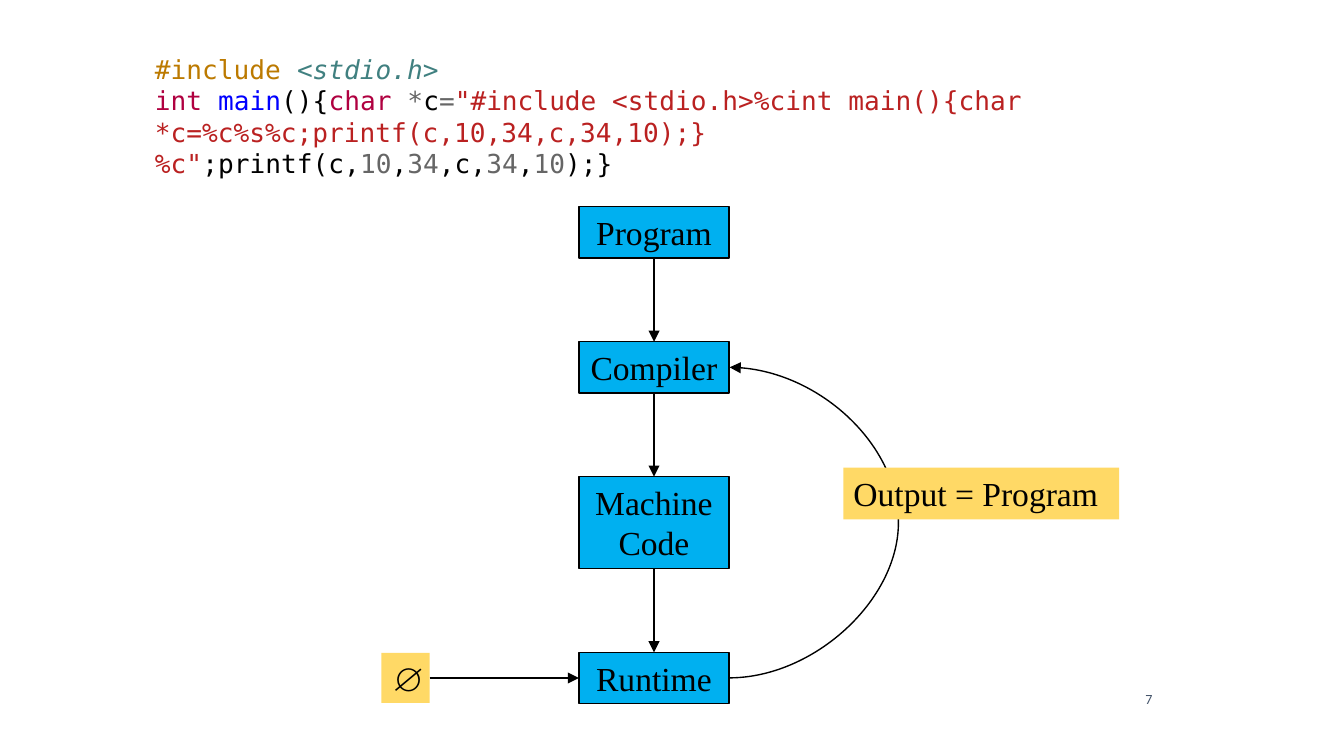
"""Build a slide showing a self-reproducing program and its compile cycle."""
from lxml.etree import SubElement
from pptx import Presentation
from pptx.dml.color import RGBColor
from pptx.enum.shapes import MSO_CONNECTOR as LINK, MSO_SHAPE
from pptx.enum.text import MSO_ANCHOR, PP_ALIGN as ALIGN
from pptx.oxml.ns import qn
from pptx.util import Cm, Pt

BLACK = RGBColor(0x00, 0x00, 0x00)
BLUE = RGBColor(0x00, 0xB0, 0xF0)
YELLOW = RGBColor(0xFF, 0xD9, 0x66)
SLATE = RGBColor(0x44, 0x54, 0x6A)
DIRECTIVE = RGBColor(0xBC, 0x7A, 0x00)
HEADER = RGBColor(0x40, 0x80, 0x80)
KEYWORD = RGBColor(0xB0, 0x00, 0x40)
FUNCTION = RGBColor(0x00, 0x00, 0xFF)
NUMBER = RGBColor(0x66, 0x66, 0x66)
STRING = RGBColor(0xBA, 0x21, 0x21)


def write(shape, text, font, size, color, align, anchor=MSO_ANCHOR.TOP):
    frame = shape.text_frame
    frame.word_wrap = True
    frame.vertical_anchor = anchor
    frame.margin_left = frame.margin_right = Cm(0.19)
    frame.margin_top = frame.margin_bottom = Cm(0.1)
    frame.text = text
    for paragraph in frame.paragraphs:
        paragraph.alignment = align
        paragraph.font.name = font
        paragraph.font.size = Pt(size)
        paragraph.font.color.rgb = color
    return frame


def add_arrow(kind, x1, y1, x2, y2):
    arrow = slide.shapes.add_connector(kind, Cm(x1), Cm(y1), Cm(x2), Cm(y2))
    arrow.line.color.rgb = BLACK
    arrow.line.width = Pt(0.75)
    SubElement(arrow.line._get_or_add_ln(), qn("a:tailEnd"), type="triangle")
    SubElement(arrow._element.spPr, qn("a:effectLst"))
    return arrow


prs = Presentation()
prs.slide_width, prs.slide_height = Cm(25.4), Cm(14.29)
slide = prs.slides.add_slide(prs.slide_layouts[6])

page_number = slide.shapes.add_textbox(Cm(20.83), Cm(12.95), Cm(1.14), Cm(1.09))
write(page_number, "7", "Calibri", 7.5, SLATE, ALIGN.RIGHT)

code = [
    [("#include ", DIRECTIVE), ("<stdio.h>", HEADER)],
    [
        ("int ", KEYWORD), ("main", FUNCTION), ("(){", BLACK), ("char ", KEYWORD),
        ("*", NUMBER), ("c", BLACK), ("=", NUMBER),
        ('"#include <stdio.h>%cint main(){char *c=%c%s%c;printf(c,10,34,c,34,10);}%c"', STRING),
        (";printf(c,", BLACK), ("10", NUMBER), (",", BLACK), ("34", NUMBER),
        (",c,", BLACK), ("34", NUMBER), (",", BLACK), ("10", NUMBER), (");}", BLACK),
    ],
]
listing = slide.shapes.add_textbox(Cm(2.74), Cm(0.91), Cm(19.43), Cm(2.06))
lines = write(listing, "\n", "DejaVu Sans Mono", 14, BLACK, ALIGN.LEFT).paragraphs
for line, tokens in zip(lines, code):
    for token, color in tokens:
        run = line.add_run()
        run.text = token
        run.font.color.rgb = color
        if color == HEADER:
            run.font.italic = True

STAGE_LEFT, STAGE_WIDTH, STAGE_HEIGHT, GAP = 10.94, 2.84, 0.97, 1.58
stages = []
top = 3.91
for label, height in [("Program", STAGE_HEIGHT), ("Compiler", STAGE_HEIGHT),
                      ("Machine Code", 1.74), ("Runtime", STAGE_HEIGHT)]:
    stage = slide.shapes.add_shape(
        MSO_SHAPE.RECTANGLE, Cm(STAGE_LEFT), Cm(top), Cm(STAGE_WIDTH), Cm(height))
    stage.shadow.inherit = False
    stage.fill.solid()
    stage.fill.fore_color.rgb = BLUE
    stage.line.color.rgb = BLACK
    stage.line.width = Pt(0.75)
    write(stage, label, "Times New Roman", 18, BLACK, ALIGN.CENTER)
    stages.append(stage)
    top += height + GAP
program, compiler, machine_code, runtime = stages

for source, target in zip(stages, stages[1:]):
    step = add_arrow(LINK.STRAIGHT, 0, 0, 1, 1)
    step.begin_connect(source, 2)
    step.end_connect(target, 0)

right = STAGE_LEFT + STAGE_WIDTH
feedback = add_arrow(LINK.CURVE, right, (runtime.top + runtime.height / 2) / Cm(1),
                     right + 0.01, (compiler.top + compiler.height / 2) / Cm(1))
feedback_shape = feedback._element.spPr.find(qn("a:prstGeom"))
guides = feedback_shape.find(qn("a:avLst"))
SubElement(guides, qn("a:gd"), name="adj1", fmla="val 32000000")

notes = []
for label, left, top, width, height in [("∅", 7.21, 12.34, 0.91, 0.95),
                                        ("Output = Program", 15.94, 8.84, 5.21, 0.98)]:
    note = slide.shapes.add_shape(
        MSO_SHAPE.RECTANGLE, Cm(left), Cm(top), Cm(width), Cm(height))
    note.shadow.inherit = False
    note.fill.solid()
    note.fill.fore_color.rgb = YELLOW
    note.line.fill.background()
    write(note, label, "Times New Roman", 18, BLACK, ALIGN.LEFT)
    notes.append(note)
empty_input, output = notes

feed = add_arrow(LINK.STRAIGHT, 0, 0, 1, 1)
feed.begin_connect(empty_input, 3)
feed.end_connect(runtime, 1)

prs.save("out.pptx")
